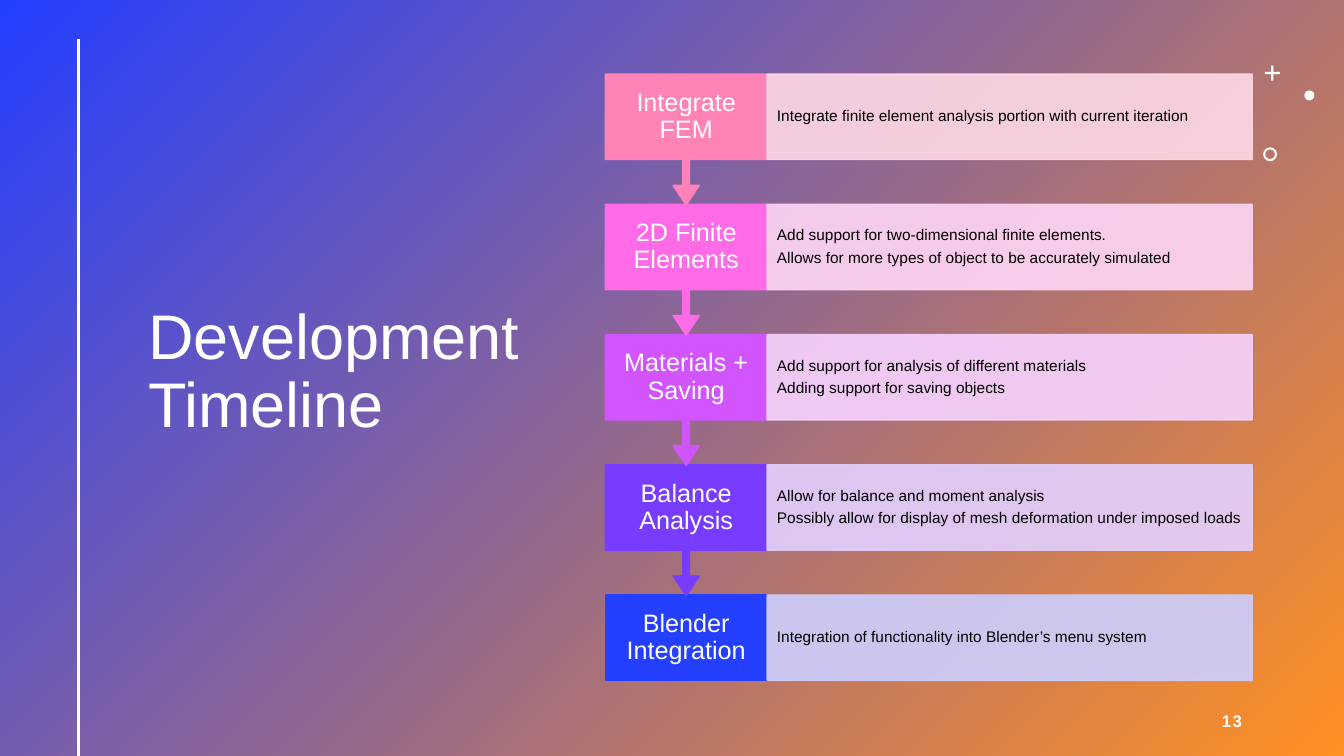
from lxml import etree
from pptx import Presentation
from pptx.dml.color import RGBColor
from pptx.enum.shapes import MSO_CONNECTOR, MSO_SHAPE
from pptx.enum.text import MSO_ANCHOR, PP_ALIGN
from pptx.oxml.ns import qn
from pptx.util import Pt

RECTANGLE = MSO_SHAPE.RECTANGLE
CALLOUT = MSO_SHAPE.DOWN_ARROW_CALLOUT
CROSS, OVAL, DONUT = MSO_SHAPE.CROSS, MSO_SHAPE.OVAL, MSO_SHAPE.DONUT
STRAIGHT = MSO_CONNECTOR.STRAIGHT
MIDDLE = MSO_ANCHOR.MIDDLE
LEFT, CENTER, RIGHT = PP_ALIGN.LEFT, PP_ALIGN.CENTER, PP_ALIGN.RIGHT

FONT = "Arial"
WIDTH, HEIGHT = 960, 540
COLORS = {
    "white": "FFFFFF", "black": "000000",
    "blue": "243FFF", "orange": "FF9022", "violet": "773CFF",
    "purple": "D154FF", "magenta": "FF6BE7", "pink": "FF83B6",
    "pale blue": "CDCFFF", "pale violet": "E2D0FF", "pale purple": "F7D3FF",
    "pale magenta": "FFD6F5", "pale pink": "FFD9E6",
}
STEPS = [
    ("pink", "Integrate FEM",
     ["Integrate finite element analysis portion with current iteration"]),
    ("magenta", "2D Finite Elements",
     ["Add support for two-dimensional finite elements.",
      "Allows for more types of object to be accurately simulated"]),
    ("purple", "Materials + Saving",
     ["Add support for analysis of different materials",
      "Adding support for saving objects"]),
    ("violet", "Balance Analysis",
     ["Allow for balance and moment analysis",
      "Possibly allow for display of mesh deformation under imposed loads"]),
    ("blue", "Blender Integration",
     ["Integration of functionality into Blender’s menu system"]),
]


def rgb(name):
    """Return the named colour."""
    return RGBColor.from_string(COLORS[name])


def write(frame, lines, size, color, align=LEFT, spacing=0.9, after=0, margins=(7.2, 3.6)):
    """Fill a text frame with one paragraph per line and return the last run."""
    frame.word_wrap = True
    frame.vertical_anchor = MIDDLE
    frame.margin_left = frame.margin_right = Pt(margins[0])
    frame.margin_top = frame.margin_bottom = Pt(margins[1])
    for index, line in enumerate(lines):
        paragraph = frame.add_paragraph() if index else frame.paragraphs[0]
        paragraph.alignment = align
        paragraph.line_spacing = spacing
        paragraph.space_before = Pt(0)
        paragraph.space_after = Pt(after)
        run = paragraph.add_run()
        run.text = line
        run.font.name = FONT
        run.font.size = Pt(size)
        run.font.color.rgb = rgb(color)
    return run


def add_block(slide, preset, box, color, outlined=True):
    """Add a flat preset shape in one colour."""
    shape = slide.shapes.add_shape(preset, *map(Pt, box))
    shape.shadow.inherit = False
    shape.fill.solid()
    shape.fill.fore_color.rgb = rgb(color)
    if outlined:
        shape.line.color.rgb = rgb(color)
        shape.line.width = Pt(1)
    else:
        shape.line.fill.background()
    return shape


def add_backdrop(slide, box):
    """Lay the diagonal gradient behind everything else."""
    backdrop = add_block(slide, RECTANGLE, box, "blue", outlined=False)
    backdrop.fill.gradient()
    backdrop.fill.gradient_angle = 315
    for stop, color, position in zip(backdrop.fill.gradient_stops, ("blue", "orange"), (0, 1)):
        stop.color.rgb = rgb(color)
        stop.position = position
    backdrop.element.getparent().insert(2, backdrop.element)


def add_heading(slide, box):
    """Place the title and the vertical rule to its left."""
    left, top, width, height = box
    title = slide.shapes.title
    title.left, title.top, title.width, title.height = map(Pt, box)
    write(title.text_frame, ["Development Timeline"], 45, "white")
    rule_left = left - 42.5
    rule = slide.shapes.add_connector(STRAIGHT, Pt(rule_left), Pt(28), Pt(rule_left), Pt(HEIGHT))
    rule.line.color.rgb = rgb("white")
    rule.line.width = Pt(2)
    etree.SubElement(rule.element.spPr, qn("a:effectLst"))


def add_ornaments(slide, box):
    """Draw the plus, dot and ring inside the box."""
    left, top, width, height = box
    plus = add_block(slide, CROSS, (left + 1.2, top, 10.8, 10.8), "white", outlined=False)
    plus.adjustments[0] = 0.43
    add_block(slide, OVAL, (left + width - 7.2, top + 17.8, 7.2, 7.2), "white", outlined=False)
    ring = add_block(slide, DONUT, (left, top + height - 10, 10, 10), "white", outlined=False)
    ring.adjustments[0] = 0.15


def add_page_number(slide, box):
    """Place the slide number."""
    number = slide.shapes.add_textbox(*map(Pt, box))
    run = write(number.text_frame, ["13"], 12, "white", RIGHT, 1)
    run.font.bold = True
    run.font.element.set("spc", "100") if hasattr(run.font, "element") else run._r.get_or_add_rPr().set("spc", "100")


def add_step(slide, box, step, is_last):
    """Draw one step: its coloured label, arrow and pale description."""
    left, top, width, height = box
    color, label, details = step
    label_width, arrow_height = 115.5, 93.5
    if is_last:
        head = add_block(slide, RECTANGLE, (left, top, label_width, height), color)
    else:
        head = add_block(slide, CALLOUT, (left, top, label_width, arrow_height), color)
        for index, value in enumerate((0.05, 0.1, 0.15, height / arrow_height)):
            head.adjustments[index] = value
    write(head.text_frame, [label], 18, "white", CENTER, margins=(8, 10))
    panel = add_block(slide, RECTANGLE,
                      (left + label_width, top, width - label_width, height), f"pale {color}")
    for tint in panel.element.spPr.iter(qn("a:srgbClr")):
        etree.SubElement(tint, qn("a:alpha"), val="90000")
    write(panel.text_frame, details, 11, "black", after=4.2, margins=(7.2, 10.8))


def add_timeline(slide, box):
    """Stack the steps evenly, the upper ones in front."""
    left, top, width, height = box
    row_height = 61
    pitch = (height - row_height) / (len(STEPS) - 1)
    for index, step in reversed(list(enumerate(STEPS))):
        add_step(slide, (left, top + index * pitch, width, row_height),
                 step, index == len(STEPS) - 1)


def main():
    """Build and save the slide."""
    presentation = Presentation()
    presentation.slide_width, presentation.slide_height = Pt(WIDTH), Pt(HEIGHT)
    slide = presentation.slides.add_slide(presentation.slide_layouts[5])
    add_backdrop(slide, (0, 0, WIDTH, HEIGHT))
    add_heading(slide, (98.6, 46.8, 310.3, 440))
    add_ornaments(slide, (902.2, 46.8, 36.7, 68.4))
    add_page_number(slide, (678.2, 500.4, 216, 28.8))
    add_timeline(slide, (432.4, 53, 462, 433))
    presentation.save("out.pptx")


if __name__ == "__main__":
    main()
